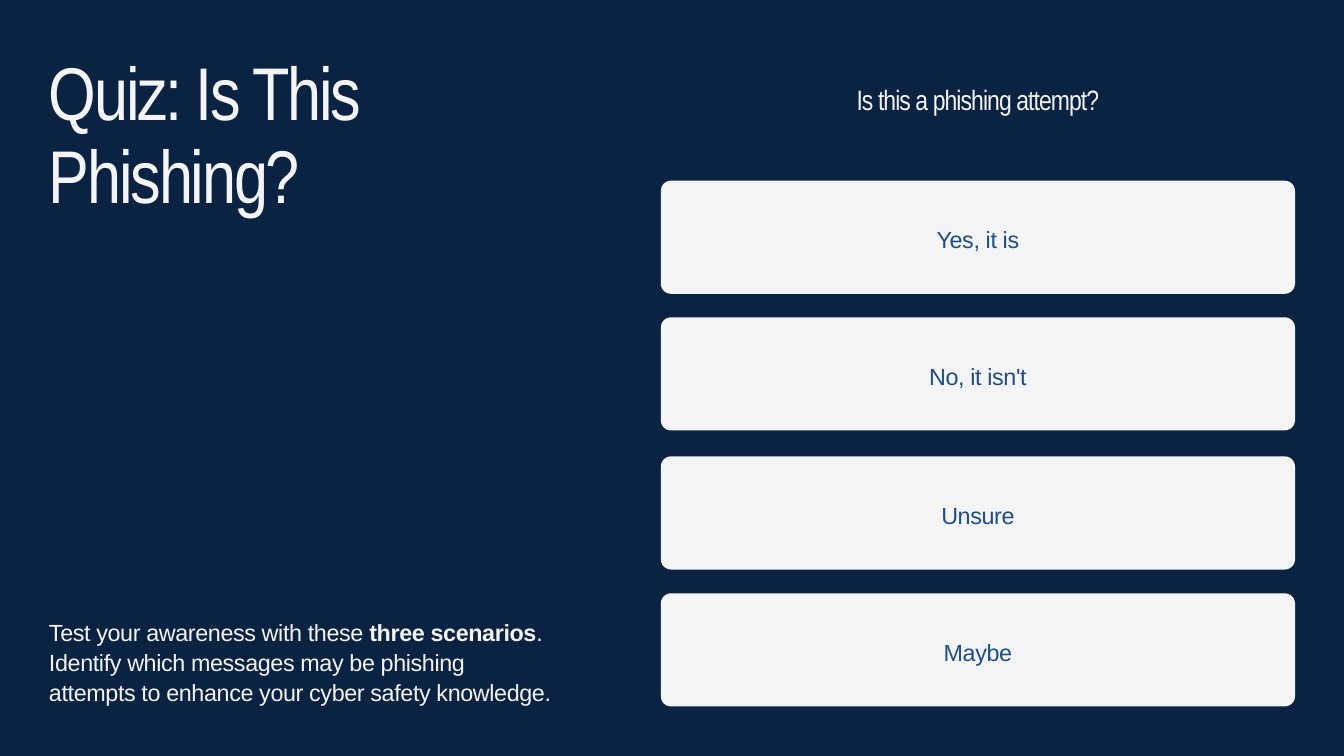
from pptx import Presentation
from pptx.dml.color import RGBColor
from pptx.enum import shapes, text
from pptx.util import Pt

NAVY = RGBColor(0x0A, 0x23, 0x42)
OFF_WHITE = RGBColor(0xF4, 0xF4, 0xF4)
BLUE = RGBColor(0x1D, 0x4E, 0x89)

LEFT, COLUMN_W = 52.5, 542
RIGHT, CARD_W, CARD_H = 708, 679.5, 121.2


def write(sp, runs, font, size, color, leading, tracking, align):
    tf = sp.text_frame
    tf.word_wrap = True
    tf.margin_left = tf.margin_top = tf.margin_right = tf.margin_bottom = 0
    p = tf.paragraphs[0]
    p.alignment = align
    p.line_spacing = Pt(leading)
    p.font.name = font
    p.font.size = Pt(size)
    p.font.color.rgb = color
    for content, bold in runs:
        r = p.add_run()
        r.text = content
        r.font.bold = bold
        r.font.name = font
        r.font.size = Pt(size)
        r.font.color.rgb = color
        r._r.get_or_add_rPr().set("spc", str(round(tracking * 100)))


prs = Presentation()
prs.slide_width, prs.slide_height = Pt(1440), Pt(810)
slide = prs.slides.add_slide(prs.slide_layouts[6])
slide.background.fill.solid()
slide.background.fill.fore_color.rgb = NAVY

intro = [
    ("Test your awareness with these ", False),
    ("three scenarios", True),
    (". Identify which messages may be phishing attempts to enhance your cyber safety knowledge.", False),
]
title = [("Quiz: Is This Phishing?", False)]
question = [("Is this a phishing attempt?", False)]
start, center = text.PP_ALIGN.LEFT, text.PP_ALIGN.CENTER

for box, runs, font, size, leading, tracking, align in [
    ((LEFT, 659.5, COLUMN_W, 98), intro, "Arial", 25, 32.5, -0.4, start),
    ((LEFT, 57.6, COLUMN_W, 178.5), title, "Arial Narrow", 80, 88, -2.4, start),
    ((RIGHT, 85, CARD_W, 38), question, "Arial Narrow", 30, 39, -1, center),
]:
    sp = slide.shapes.add_textbox(*map(Pt, box))
    write(sp, runs, font, size, OFF_WHITE, leading, tracking, align)

for top, answer in [(193.6, "Yes, it is"), (340, "No, it isn't"), (489, "Unsure"), (635.7, "Maybe")]:
    sp = slide.shapes.add_shape(
        shapes.MSO_SHAPE.ROUNDED_RECTANGLE, Pt(RIGHT), Pt(top), Pt(CARD_W), Pt(CARD_H)
    )
    sp.adjustments[0] = 0.09
    sp.shadow.inherit = False
    sp.fill.solid()
    sp.fill.fore_color.rgb = OFF_WHITE
    sp.line.fill.background()
    sp.text_frame.vertical_anchor = text.MSO_ANCHOR.MIDDLE
    write(sp, [(answer, False)], "Arial", 25, BLUE, 35, -0.4, center)

prs.save("out.pptx")
